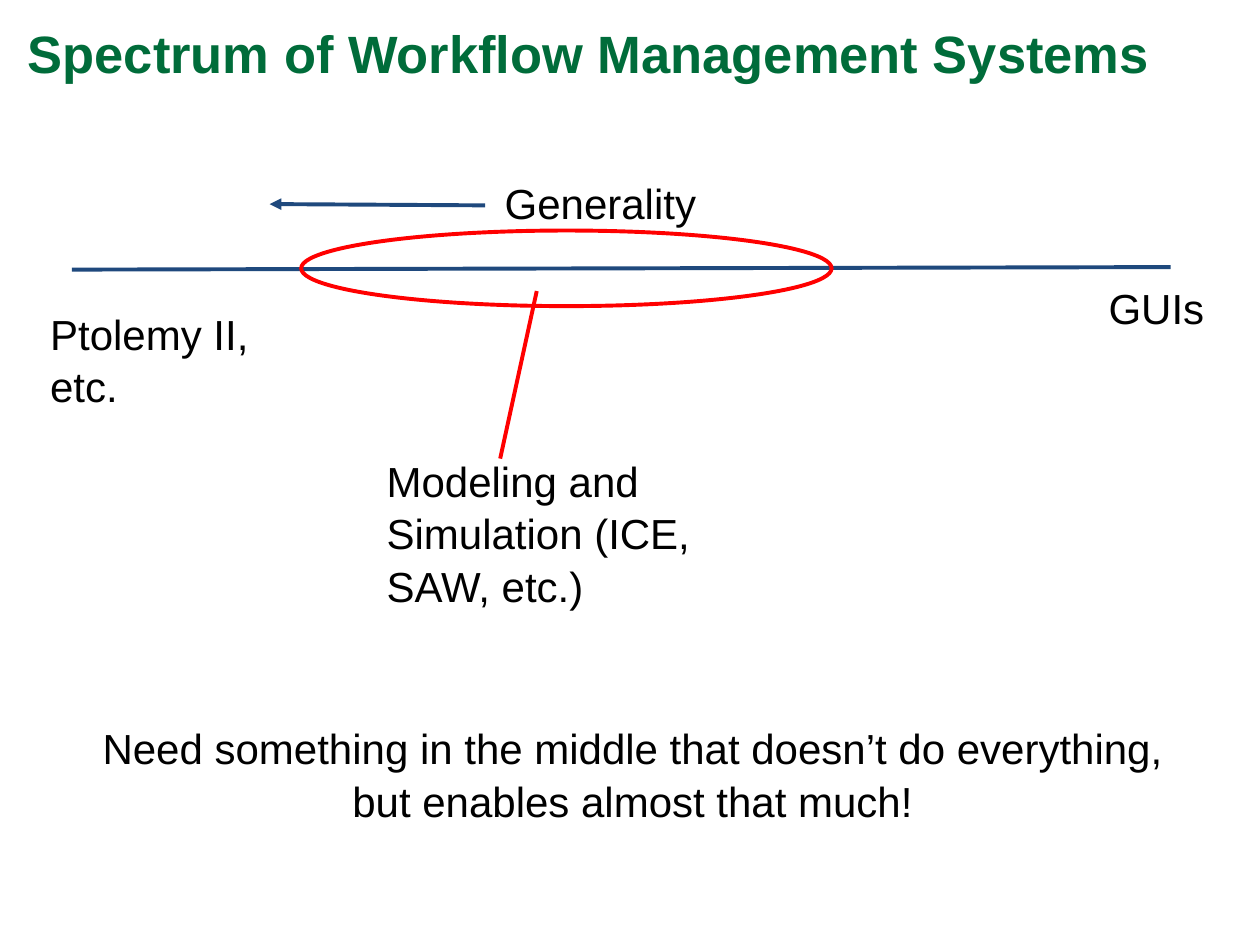
from dataclasses import dataclass

from lxml.etree import SubElement
from pptx import Presentation
from pptx.dml.color import RGBColor
from pptx.enum.shapes import MSO_CONNECTOR as Conn, MSO_SHAPE as Shape
from pptx.enum.text import MSO_ANCHOR as Anchor, MSO_AUTO_SIZE as AutoSize, PP_ALIGN as Align
from pptx.oxml.ns import qn
from pptx.util import Inches, Pt


@dataclass(frozen=True)
class Theme:
    font: str = "Arial"
    title: RGBColor = RGBColor(0x00, 0x6C, 0x3A)
    text: RGBColor = RGBColor(0x00, 0x00, 0x00)
    axis: RGBColor = RGBColor(0x1F, 0x49, 0x7D)
    highlight: RGBColor = RGBColor(0xFF, 0x00, 0x00)
    title_size: float = 30
    body_size: float = 24
    stroke: float = 2.25
    spacing: float = 1.04


@dataclass(frozen=True)
class Label:
    text: str
    box: tuple[float, float, float, float]
    align: Align = Align.LEFT


@dataclass(frozen=True)
class Line:
    start: tuple[float, float]
    end: tuple[float, float]
    color: RGBColor
    arrow: bool = False


THEME = Theme()

AXIS = Line((0.57, 2.14), (9.29, 2.12), THEME.axis)
GENERALITY_ARROW = Line((3.85, 1.63), (2.14, 1.62), THEME.axis, arrow=True)
CALLOUT = Line((4.26, 2.31), (3.97, 3.64), THEME.highlight)
MIDDLE_RANGE = (2.39, 1.83, 4.21, 0.6)

SPECTRUM_LABELS = [
    Label("Generality", (1.53, 1.29, 6.47, 0.61), Align.CENTER),
    Label("GUIs", (8.7, 2.13, 1, 0.47)),
    Label("Ptolemy II, etc.", (0.3, 2.33, 1.93, 1.14)),
]
CONCLUSIONS = [
    Label("Modeling and Simulation (ICE, SAW, etc.)", (2.97, 3.5, 2.72, 1.14)),
    Label("Need something in the middle that doesn’t do everything, "
          "but enables almost that much!", (0.49, 5.62, 9.06, 1.28), Align.CENTER),
]


def write_text(sp, label: Label, size: float, color: RGBColor,
               inset: float, bold: bool = False) -> None:
    tf = sp.text_frame
    tf.text = label.text
    tf.word_wrap = True
    tf.auto_size = AutoSize.NONE
    tf.vertical_anchor = Anchor.TOP
    tf.margin_left = tf.margin_right = Inches(0.1)
    tf.margin_top = tf.margin_bottom = Inches(inset)
    p = tf.paragraphs[0]
    p.alignment = label.align
    p.line_spacing = THEME.spacing
    font = p.runs[0].font
    font.name, font.size, font.bold = THEME.font, Pt(size), bold
    font.color.rgb = color


def set_title(s, label: Label) -> None:
    sp = s.shapes.title
    sp.left, sp.top, sp.width, sp.height = map(Inches, label.box)
    write_text(sp, label, THEME.title_size, THEME.title, 0.05, bold=True)


def add_label(s, label: Label) -> None:
    sp = s.shapes.add_textbox(*map(Inches, label.box))
    write_text(sp, label, THEME.body_size, THEME.text, 0.1)


def add_line(s, line: Line) -> None:
    sp = s.shapes.add_connector(Conn.STRAIGHT, *map(Inches, line.start + line.end))
    sp.line.color.rgb = line.color
    sp.line.width = Pt(THEME.stroke)
    if line.arrow:
        SubElement(sp.line._get_or_add_ln(), qn("a:tailEnd"), type="triangle")
    SubElement(sp._element.spPr, qn("a:effectLst"))


def add_ellipse(s, box: tuple[float, float, float, float], color: RGBColor) -> None:
    sp = s.shapes.add_shape(Shape.OVAL, *map(Inches, box))
    sp.shadow.inherit = False
    sp.fill.background()
    sp.line.color.rgb = color
    sp.line.width = Pt(THEME.stroke)


def main() -> None:
    prs = Presentation()
    prs.slide_width, prs.slide_height = Inches(10), Inches(7.5)
    s = prs.slides.add_slide(prs.slide_layouts[5])
    set_title(s, Label("Spectrum of Workflow Management Systems", (0.12, 0.1, 9.58, 0.61)))
    for line in (AXIS, GENERALITY_ARROW):
        add_line(s, line)
    for label in SPECTRUM_LABELS:
        add_label(s, label)
    add_ellipse(s, MIDDLE_RANGE, THEME.highlight)
    add_line(s, CALLOUT)
    for label in CONCLUSIONS:
        add_label(s, label)
    prs.save("out.pptx")


if __name__ == "__main__":
    main()
